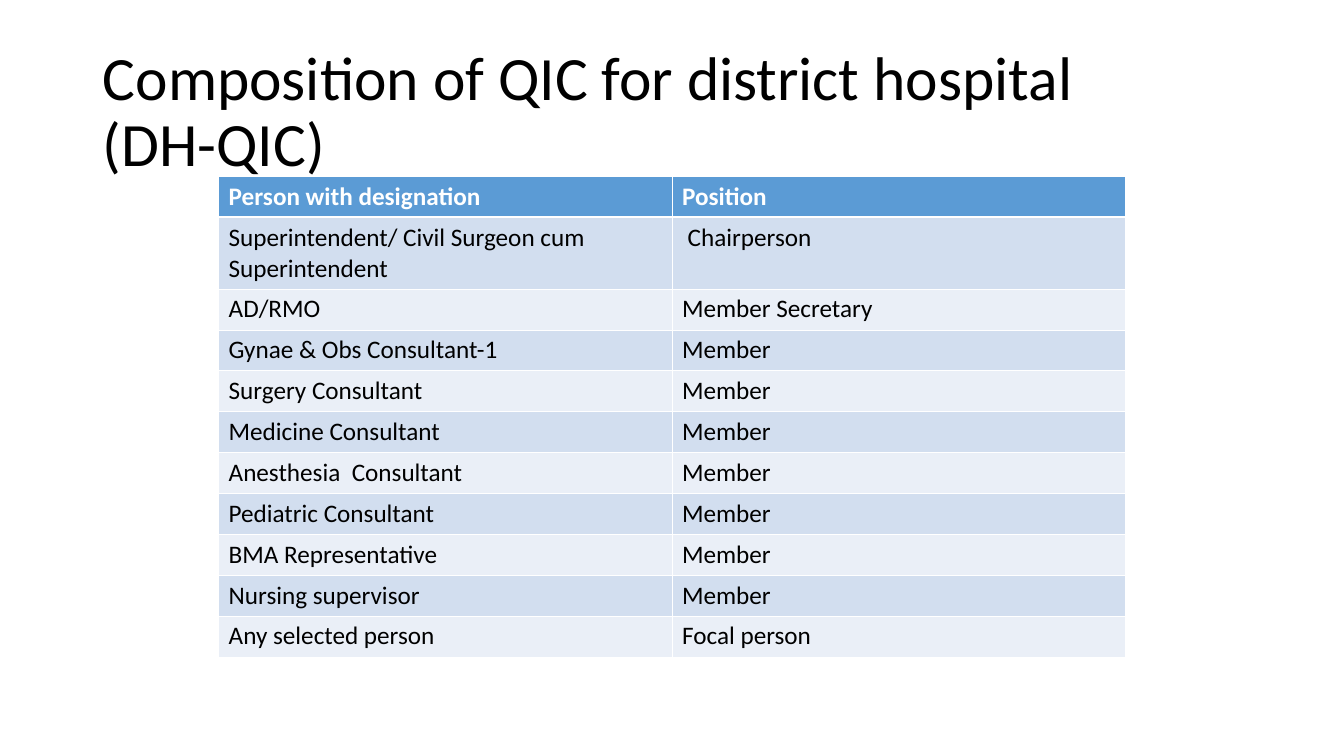
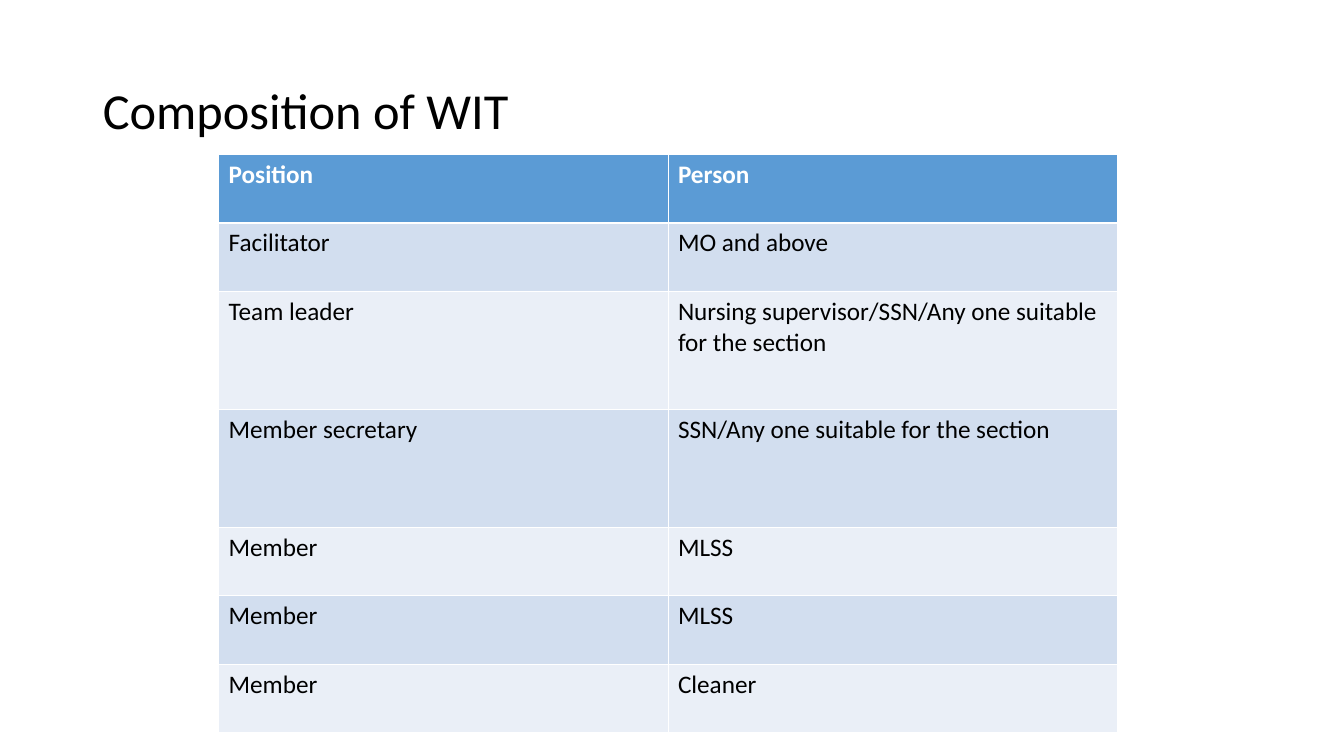
from dataclasses import dataclass

from lxml import etree
from pptx import Presentation
from pptx import util as u
from pptx.dml.color import RGBColor
from pptx.enum import text
from pptx.oxml.ns import qn
from pptx.slide import Slide
from pptx.table import _Cell


@dataclass(frozen=True)
class Theme:
    font: str = "Calibri"
    ink: str = "000000"
    white: str = "FFFFFF"
    header: str = "5B9BD5"
    bands: tuple[str, str] = ("D2DEEF", "EAEFF7")
    table_size: float = 18
    thin: float = 0.45
    thick: float = 1.47


@dataclass(frozen=True)
class TableSlide:
    title: str
    title_size: float
    top: float
    col_width: float
    row_height: float
    tall_rows: dict[int, float]  # row index -> height
    rows: list[tuple[str, str]]  # the first row is the header


THEME = Theme()
TABLE_LEFT = u.Inches(2.17)

SLIDES = [
    TableSlide(
        "Composition of QIC for district hospital\n(DH-QIC)", 44,
        top=1.75, col_width=4.5, row_height=0.4, tall_rows={1: 0.7},
        rows=[
            ("Person with designation", "Position"),
            ("Superintendent/ Civil Surgeon cum Superintendent", " Chairperson"),
            ("AD/RMO", "Member Secretary"),
            ("Gynae & Obs Consultant-1", "Member"),
            ("Surgery Consultant", "Member"),
            ("Medicine Consultant", "Member"),
            ("Anesthesia  Consultant", "Member"),
            ("Pediatric Consultant", "Member"),
            ("BMA Representative", "Member"),
            ("Nursing supervisor", "Member"),
            ("Any selected person", "Focal person"),
        ],
    ),
    TableSlide(
        "Composition of WIT", 36,
        top=1.53, col_width=4.46, row_height=0.68, tall_rows={2: 1.17, 3: 1.17},
        rows=[
            ("Position", "Person"),
            ("Facilitator", "MO and above"),
            ("Team leader", "Nursing supervisor/SSN/Any one suitable for the section"),
            ("Member secretary", "SSN/Any one suitable for the section"),
            ("Member", "MLSS"),
            ("Member", "MLSS"),
            ("Member", "Cleaner"),
        ],
    ),
]


def style_font(font: text.MSO_ANCHOR, size: float, color: str, bold: bool = False) -> None:
    font.name = THEME.font
    font.size = u.Pt(size)
    font.bold = bold
    font.color.rgb = RGBColor.from_string(color)


def set_borders(cell: _Cell, row: int) -> None:
    """Thin white lines, with a thick one between header and body."""
    tc_pr = cell._tc.get_or_add_tcPr()
    thick_side = {0: "lnB", 1: "lnT"}.get(row)
    for side in ("lnL", "lnR", "lnT", "lnB"):
        width = THEME.thick if side == thick_side else THEME.thin
        ln = etree.SubElement(tc_pr, qn(f"a:{side}"), w=str(u.Pt(width)))
        fill = etree.SubElement(ln, qn("a:solidFill"))
        etree.SubElement(fill, qn("a:srgbClr"), val=THEME.white)


def add_title(s: Slide, spec: TableSlide) -> None:
    sp = s.shapes.title
    sp.left, sp.top = u.Inches(0.92), u.Inches(0.4)
    sp.width, sp.height = u.Inches(11.5), u.Inches(1.45)
    tf = sp.text_frame
    tf.word_wrap = True
    tf.auto_size = text.MSO_AUTO_SIZE.NONE
    tf.vertical_anchor = text.MSO_ANCHOR.MIDDLE
    p = tf.paragraphs[0]
    p.text = spec.title
    p.alignment = text.PP_ALIGN.LEFT
    p.line_spacing = 0.9
    for r in p.runs:
        style_font(r.font, spec.title_size, THEME.ink)


def add_table(s: Slide, spec: TableSlide) -> None:
    heights = [u.Inches(spec.tall_rows.get(i, spec.row_height)) for i in range(len(spec.rows))]
    col_width = u.Inches(spec.col_width)
    table = s.shapes.add_table(
        len(spec.rows), 2, TABLE_LEFT, u.Inches(spec.top), 2 * col_width, sum(heights)
    ).table
    for col in table.columns:
        col.width = col_width
    for i, (values, height) in enumerate(zip(spec.rows, heights)):
        table.rows[i].height = height
        is_header = i == 0
        fill = THEME.header if is_header else THEME.bands[(i - 1) % 2]
        color = THEME.white if is_header else THEME.ink
        for cell, value in zip(table.rows[i].cells, values):
            set_borders(cell, i)
            cell.fill.solid()
            cell.fill.fore_color.rgb = RGBColor.from_string(fill)
            p = cell.text_frame.paragraphs[0]
            p.text = value
            style_font(p.runs[0].font, THEME.table_size, color, is_header)


def main() -> None:
    prs = Presentation()
    prs.slide_width, prs.slide_height = u.Inches(13.34), u.Inches(7.5)
    title_only = prs.slide_layouts[5]
    for spec in SLIDES:
        s = prs.slides.add_slide(title_only)
        add_title(s, spec)
        add_table(s, spec)
    prs.save("out.pptx")


if __name__ == "__main__":
    main()
